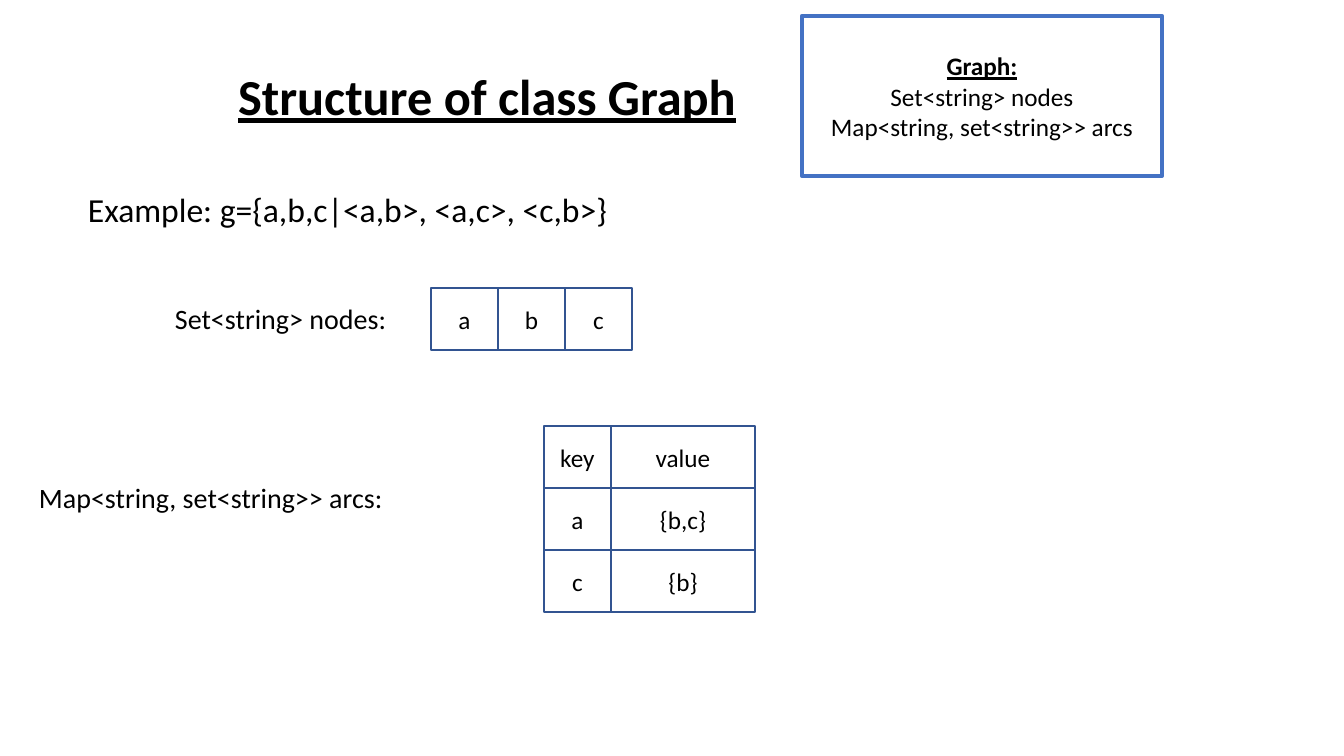
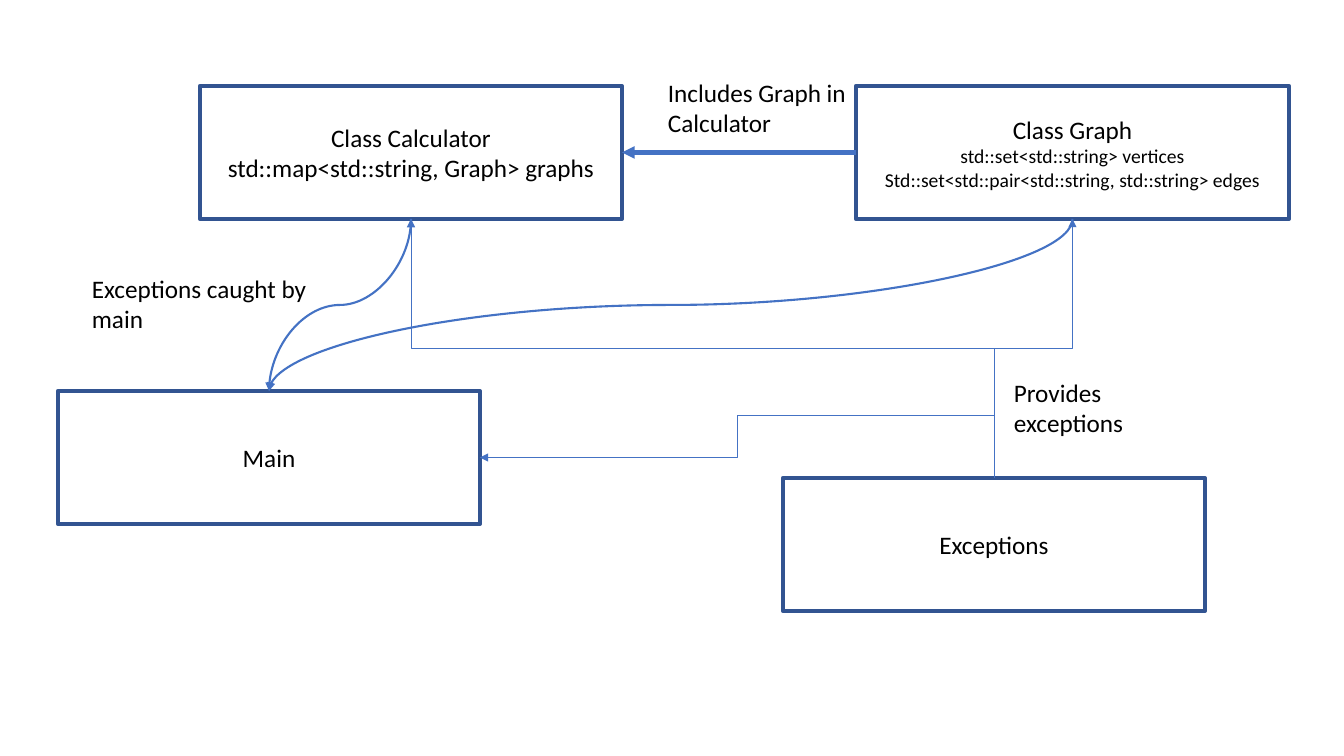
import pptx
import pptx.dml.color
import pptx.enum.shapes
import pptx.enum.text
import pptx.oxml.ns
import pptx.util
from lxml import etree

SCALE = 914400 / 100.8
FONT = "Calibri"
COLORS = {"text": "000000", "paper": "FFFFFF", "accent": "4472C4", "outline": "325491"}
CONNECTOR = pptx.enum.shapes.MSO_CONNECTOR
ALIGN = pptx.enum.text.PP_ALIGN
ANCHOR = pptx.enum.text.MSO_ANCHOR
AUTO_SIZE = pptx.enum.text.MSO_AUTO_SIZE
qn = pptx.oxml.ns.qn


def px(length):
    """Turn pixels into EMU."""
    return pptx.util.Emu(round(length * SCALE))


def rgb(name):
    """Look up a colour by its role."""
    return pptx.dml.color.RGBColor.from_string(COLORS[name])


def write(frame, lines, align=ALIGN.LEFT):
    """Fill a text frame with (text, size, emphasised) lines."""
    frame.word_wrap = True
    for index, (text, size, emphasised) in enumerate(lines):
        paragraph = frame.paragraphs[0] if index == 0 else frame.add_paragraph()
        paragraph.alignment = align
        run = paragraph.add_run()
        run.text = text
        run.font.name = FONT
        run.font.size = pptx.util.Pt(size)
        run.font.bold = emphasised
        run.font.underline = emphasised
        run.font.color.rgb = rgb("text")


def add_title(slide, area, text):
    """Place the underlined slide title in its placeholder."""
    title = slide.shapes.title
    title.left, title.top, title.width, title.height = map(px, area)
    title.text_frame.vertical_anchor = ANCHOR.TOP
    title.text_frame.auto_size = AUTO_SIZE.NONE
    write(title.text_frame, [(text, 36, True)])


def add_label(slide, area, text, size=18):
    """Add a free-standing, left-aligned label."""
    label = slide.shapes.add_textbox(*map(px, area))
    write(label.text_frame, [(text, size, False)])
    label.text_frame.auto_size = AUTO_SIZE.SHAPE_TO_FIT_TEXT


def add_box(slide, area, lines, weight=3, color="outline"):
    """Add an outlined box with centred text."""
    box = slide.shapes.add_shape(
        pptx.enum.shapes.MSO_SHAPE.RECTANGLE, *map(px, area))
    box.shadow.inherit = False
    box.fill.solid()
    box.fill.fore_color.rgb = rgb("paper")
    box.line.color.rgb = rgb(color)
    box.line.width = pptx.util.Pt(weight)
    box.text_frame.vertical_anchor = ANCHOR.MIDDLE
    write(box.text_frame, lines, ALIGN.CENTER)


def add_grid(slide, left, top, widths, rows, height=62):
    """Add rows of touching cells."""
    for row, texts in enumerate(rows):
        for column, text in enumerate(texts):
            area = (left + sum(widths[:column]), top + row * height,
                    widths[column], height)
            add_box(slide, area, [(text, 18, False)], 1.5)


def add_arrow(slide, kind, start, end, weight, upright=False, preset=None):
    """Add an arrow; an upright one leaves and arrives vertically."""
    arrow = slide.shapes.add_connector(kind, *map(px, start + end))
    arrow.line.color.rgb = rgb("accent")
    arrow.line.width = pptx.util.Pt(weight)
    properties = arrow._element.spPr
    if preset:
        properties.find(qn("a:prstGeom")).set("prst", preset)
    if upright:
        width, height = abs(end[1] - start[1]), abs(end[0] - start[0])
        arrow.left = px((start[0] + end[0] - width) / 2)
        arrow.top = px((start[1] + end[1] - height) / 2)
        arrow.width, arrow.height = px(width), px(height)
        frame = properties.find(qn("a:xfrm"))
        frame.set("rot", "5400000")
        frame.set("flipH", str(int(start[1] > end[1])))
        frame.set("flipV", str(int(start[0] < end[0])))
    line = properties.find(qn("a:ln"))
    etree.SubElement(line, qn("a:tailEnd"), type="triangle")
    etree.SubElement(properties, qn("a:effectLst"))


def anchor(area, across, down):
    """Find a point of an area by its fractions of width and height."""
    left, top, width, height = area
    return left + width * across, top + height * down


def build_structure(slide):
    """Show the members of the class with an example."""
    add_title(slide, (228, 60, 549, 72), "Structure of class Graph")
    add_box(slide, (802, 16, 360, 160), [
        ("Graph:", 18, True),
        ("Set<string> nodes", 18, False),
        ("Map<string, set<string>> arcs", 18, False),
    ], color="accent")
    add_label(slide, (78, 184, 632, 50),
              "Example: g={a,b,c|<a,b>, <a,c>, <c,b>}", 24)
    add_label(slide, (165, 297, 258, 44), "Set<string> nodes:", 20)
    add_grid(slide, 431, 288, [67, 67, 67], [["a", "b", "c"]])
    add_label(slide, (29, 476, 401, 44), "Map<string, set<string>> arcs:", 20)
    add_grid(slide, 544, 426, [67, 144],
             [["key", "value"], ["a", "{b,c}"], ["c", "{b}"]])


def build_relations(slide):
    """Show how the classes, main and the exceptions relate."""
    graph = (856, 86, 433, 133)
    calculator = (200, 86, 422, 133)
    main_program = (58, 391, 422, 133)
    exceptions = (783, 478, 422, 133)
    add_box(slide, graph, [
        ("Class Graph", 18, False),
        ("std::set<std::string> vertices", 14, False),
        ("Std::set<std::pair<std::string, std::string> edges", 14, False),
    ])
    add_box(slide, calculator, [
        ("Class Calculator", 18, False),
        ("std::map<std::string, Graph> graphs", 18, False),
    ])
    add_box(slide, main_program, [("Main", 18, False)])
    add_box(slide, exceptions, [("Exceptions", 18, False)])

    source = anchor(exceptions, 0.5, 0)
    graph_foot = anchor(graph, 0.5, 1)
    calculator_foot = anchor(calculator, 0.5, 1)
    main_top = anchor(main_program, 0.5, 0)
    fork = (source[0], (source[1] + graph_foot[1]) / 2)
    add_arrow(slide, CONNECTOR.ELBOW, source, graph_foot, 0.5, upright=True)
    add_arrow(slide, CONNECTOR.ELBOW, fork, calculator_foot, 0.5,
              preset="bentConnector2")
    add_arrow(slide, CONNECTOR.ELBOW, (source[0], 415),
              anchor(main_program, 1, 0.5), 0.5)
    add_label(slide, (1004, 372, 210, 72), "Provides exceptions")
    add_arrow(slide, CONNECTOR.STRAIGHT, anchor(graph, 0, 0.5),
              anchor(calculator, 1, 0.5), 3)
    add_label(slide, (658, 72, 198, 72), "Includes Graph in Calculator")
    for foot in (calculator_foot, graph_foot):
        add_arrow(slide, CONNECTOR.CURVE, foot, main_top, 1.5, upright=True)
    add_label(slide, (82, 268, 252, 72), "Exceptions caught by main")


def main():
    """Build and save the presentation."""
    deck = pptx.Presentation()
    deck.slide_width = px(1344)
    deck.slide_height = px(756)
    title_only, blank = deck.slide_layouts[5], deck.slide_layouts[6]
    build_structure(deck.slides.add_slide(title_only))
    build_relations(deck.slides.add_slide(blank))
    deck.save("out.pptx")


main()
